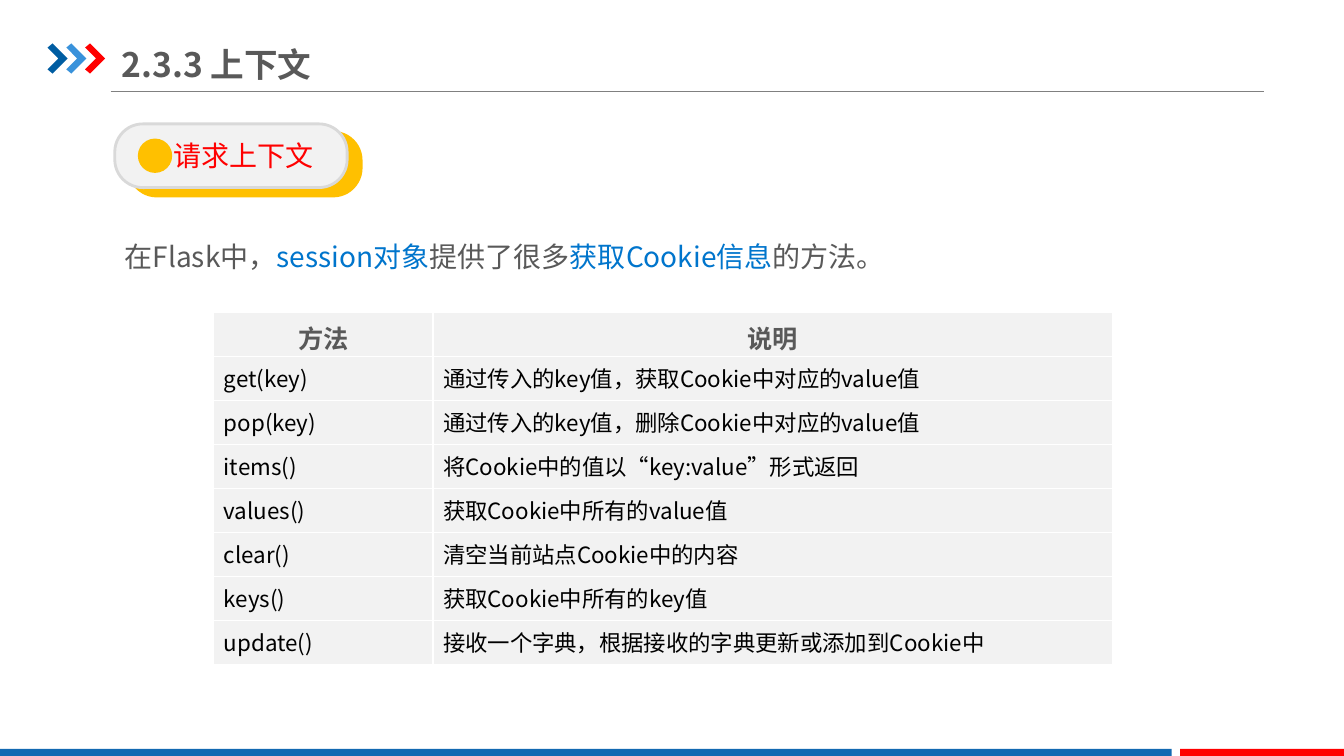
import pptx
import pptx.dml.color
import pptx.enum.shapes
import pptx.enum.text
import pptx.oxml
import pptx.oxml.ns
import pptx.util

Pt = pptx.util.Pt
SHAPE = pptx.enum.shapes.MSO_SHAPE
ALIGN = pptx.enum.text.PP_ALIGN
ANCHOR = pptx.enum.text.MSO_ANCHOR
GREY, BLUE, RED, YELLOW, PALE = "595959", "0075CC", "FF0000", "FFC000", "F2F2F2"


def color(value):
    return pptx.dml.color.RGBColor.from_string(value)


def apply(target, values):
    for name, value in values.items():
        setattr(target, name, value)


def add_xml(parent, tag, content="", attributes=""):
    namespace = pptx.oxml.ns.nsdecls("a")
    parent.append(pptx.oxml.parse_xml(
        f"<a:{tag} {namespace} {attributes}>{content}</a:{tag}>"))


class SlideBuilder:
    font_name = "Noto Sans CJK SC"

    def __init__(self, slide):
        self.slide = slide
        self.shapes = slide.shapes

    def fill_text(self, frame, runs, size, bold=False, frame_format=None, paragraph_format=None):
        apply(frame, {"word_wrap": True, **(frame_format or {})})
        paragraph = frame.paragraphs[0]
        apply(paragraph, paragraph_format or {})
        for text, text_color in runs:
            run = paragraph.add_run()
            run.text = text
            apply(run.font, {"name": self.font_name, "size": Pt(size), "bold": bold})
            run.font.color.rgb = color(text_color)
            add_xml(run.font._element, "ea", attributes=f'typeface="{self.font_name}"')

    def paint(self, shape, fill, line=None):
        shape.shadow.inherit = False
        shape.fill.solid()
        shape.fill.fore_color.rgb = color(fill)
        if line:
            shape.line.color.rgb = color(line)
            shape.line.width = Pt(2)
        else:
            shape.line.fill.background()

    def shape(self, kind, box, fill, line=None):
        shape = self.shapes.add_shape(kind, *map(Pt, box))
        self.paint(shape, fill, line)
        return shape

    def pill(self, box, fill, line):
        shape = self.shape(SHAPE.ROUNDED_RECTANGLE, box, fill, line)
        shape.adjustments[0] = 0.44
        return shape

    def chevron(self, left, top, fill):
        outline = [(0, 3), (3.6, 0), (14.4, 10.8), (3.6, 21.6), (0, 18.6), (7.8, 10.8)]
        points = [(Pt(left + x), Pt(top + y)) for x, y in outline]
        builder = self.shapes.build_freeform(*points[0])
        builder.add_line_segments(points[1:], close=True)
        self.paint(builder.convert_to_shape(), fill)

    def rule(self, left, right, top):
        line = self.shapes.add_connector(
            pptx.enum.shapes.MSO_CONNECTOR.STRAIGHT, Pt(left), Pt(top), Pt(right), Pt(top))
        line.line.color.rgb = color("808080")
        line.line.width = Pt(0.75)
        add_xml(line._element.spPr, "effectLst")

    def title(self, text, box):
        title = self.shapes.title
        apply(title, dict(zip(("left", "top", "width", "height"), map(Pt, box))))
        self.fill_text(title.text_frame, [(text, GREY)], 24, True,
                       {"margin_left": 0, "margin_right": 0, "margin_top": Pt(5),
                        "margin_bottom": Pt(5), "vertical_anchor": ANCHOR.MIDDLE,
                        "auto_size": pptx.enum.text.MSO_AUTO_SIZE.NONE},
                       {"alignment": ALIGN.LEFT})

    def text(self, runs, box):
        text_box = self.shapes.add_textbox(*map(Pt, box))
        self.fill_text(text_box.text_frame, runs, 20,
                       paragraph_format={"alignment": ALIGN.JUSTIFY, "line_spacing": 1.5})

    def cell(self, cell, text, header):
        properties = cell._tc.get_or_add_tcPr()
        for side in "LRTB":
            add_xml(properties, f"ln{side}",
                    '<a:solidFill><a:srgbClr val="FFFFFF"/></a:solidFill>', 'w="12700"')
        cell.fill.solid()
        cell.fill.fore_color.rgb = color(PALE)
        if header:
            apply(cell, {"margin_left": Pt(5), "margin_right": Pt(5), "margin_top": 0,
                         "margin_bottom": 0, "vertical_anchor": ANCHOR.MIDDLE})
            self.fill_text(cell.text_frame, [(text, GREY)], 18, True,
                           paragraph_format={"alignment": ALIGN.CENTER, "line_spacing": 1.15})
        else:
            self.fill_text(cell.text_frame, [(text, "000000")], 16)

    def table(self, rows, left, top, widths, row_height):
        frame = self.shapes.add_table(len(rows), len(widths), Pt(left), Pt(top),
                                      Pt(sum(widths)), Pt(row_height * len(rows)))
        table = frame.table
        for column, width in zip(table.columns, widths):
            column.width = Pt(width)
        for row_index, row in enumerate(rows):
            table.rows[row_index].height = Pt(row_height)
            for column_index, text in enumerate(row):
                self.cell(table.cell(row_index, column_index), text, row_index == 0)


METHODS = [
    ("方法", "说明"),
    ("get(key)", "通过传入的key值，获取Cookie中对应的value值"),
    ("pop(key)", "通过传入的key值，删除Cookie中对应的value值"),
    ("items()", "将Cookie中的值以“key:value”形式返回"),
    ("values()", "获取Cookie中所有的value值"),
    ("clear()", "清空当前站点Cookie中的内容"),
    ("keys()", "获取Cookie中所有的key值"),
    ("update()", "接收一个字典，根据接收的字典更新或添加到Cookie中"),
]


def main():
    presentation = pptx.Presentation()
    presentation.slide_width = Pt(960)
    presentation.slide_height = Pt(540)
    builder = SlideBuilder(presentation.slides.add_slide(presentation.slide_layouts[5]))

    builder.rule(79, 903, 65.5)
    for index, fill in enumerate(("005DA2", "3992DB", RED)):
        builder.chevron(34 + 13.4 * index, 31, fill)
    builder.shape(SHAPE.RECTANGLE, (0, 535, 837, 6), "1369B2")
    builder.shape(SHAPE.RECTANGLE, (843, 535, 117, 6), RED)
    builder.title("2.3.3 上下文", (87, 26, 343, 40))

    builder.text([("在Flask中，", GREY), ("session对象", BLUE), ("提供了很多", GREY),
                  ("获取Cookie信息", BLUE), ("的方法。", GREY)], (82, 155.5, 783, 44))

    builder.pill((92, 94.5, 166, 45.5), YELLOW, YELLOW)
    badge = builder.pill((82, 88.5, 166, 45.5), PALE, "D9D9D9")
    builder.fill_text(badge.text_frame, [("请求上下文", RED)], 20,
                      frame_format={"margin_left": Pt(25), "vertical_anchor": ANCHOR.MIDDLE},
                      paragraph_format={"alignment": ALIGN.CENTER})
    builder.shape(SHAPE.OVAL, (99.5, 100, 22.5, 22.5), YELLOW, YELLOW)

    builder.table(METHODS, 152.7, 223.4, (156.6, 485.6), 31.4)
    presentation.save("out.pptx")


if __name__ == "__main__":
    main()
